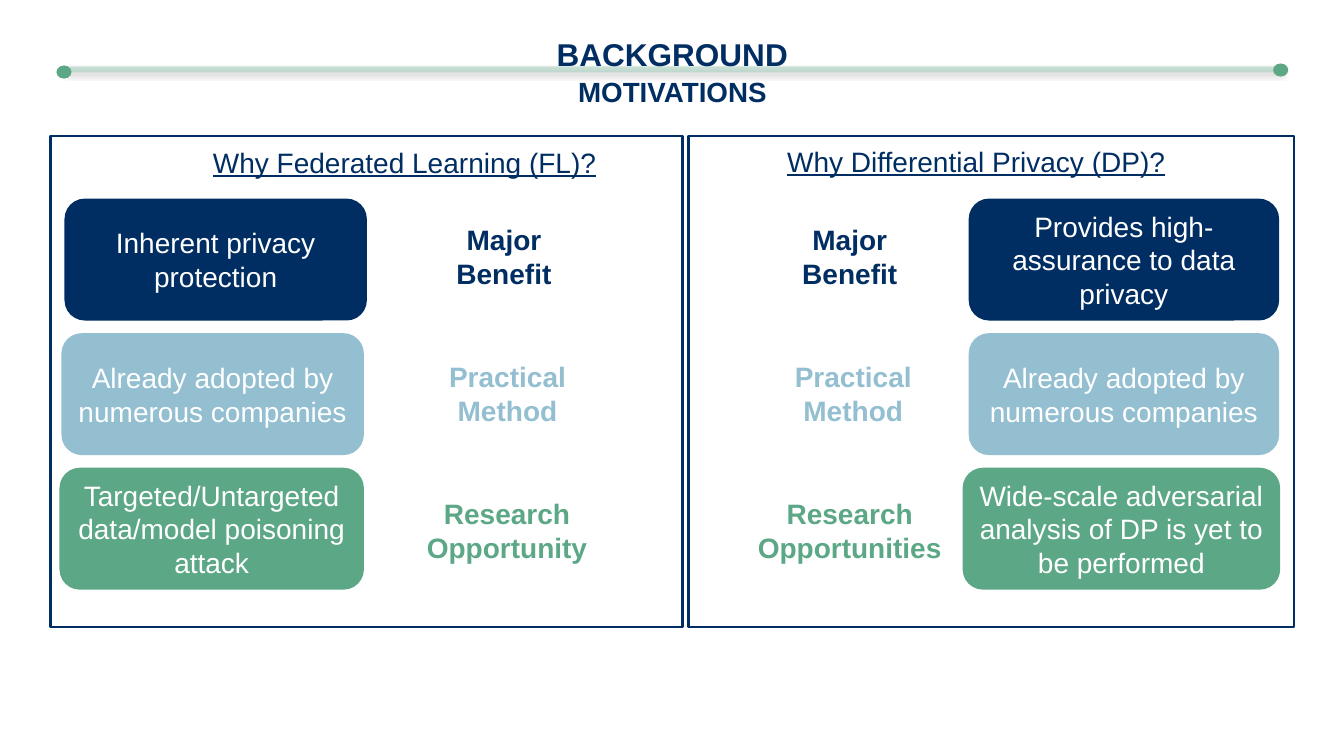
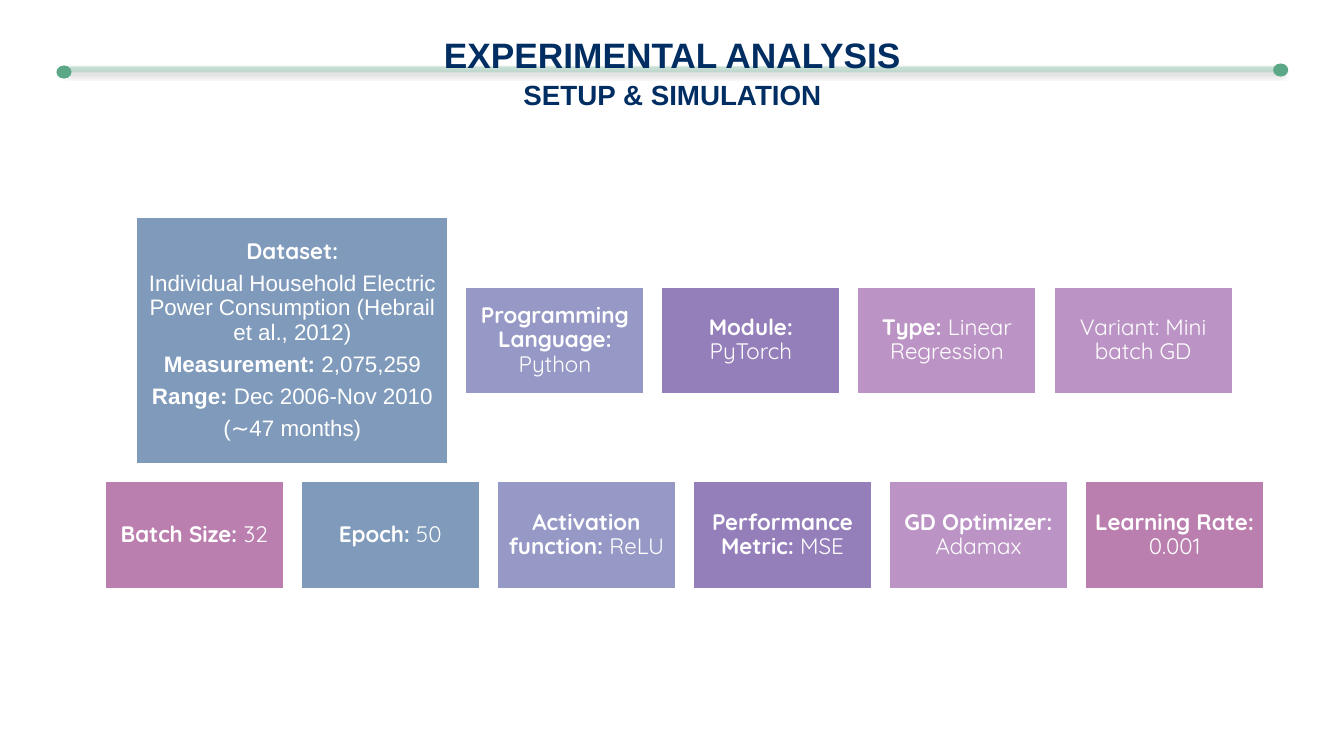
from dataclasses import dataclass
from typing import Optional

from lxml import etree
from pptx import Presentation
from pptx.dml.color import RGBColor
from pptx.enum.shapes import MSO_SHAPE
from pptx.enum.text import MSO_ANCHOR, PP_ALIGN
from pptx.oxml.ns import qn
from pptx.util import Inches, Length, Pt

RECTANGLE = MSO_SHAPE.RECTANGLE
ROUNDED = MSO_SHAPE.ROUNDED_RECTANGLE
OVAL = MSO_SHAPE.OVAL
TOP = MSO_ANCHOR.TOP
MIDDLE = MSO_ANCHOR.MIDDLE
CENTER = PP_ALIGN.CENTER

COLORS = {
    "navy": "002E62", "sky": "93BFD1", "green": "5CA786", "mint": "9DCAB6",
    "white": "FFFFFF", "steel": "7F9ABA", "periwinkle": "9698C6",
    "violet": "957FBA", "orchid": "BB94C5", "rose": "BA7FAE",
}
GRID_STEP = 0.1
SLIDE_COLUMNS, SLIDE_ROWS = 133.33, 75
BODY_FONT, TILE_FONT = "Arial", "Quicksand"
BODY_SIZE, TILE_SIZE, SUBTITLE_SIZE = 20, 16, 19.8

CARD_TOP, CARD_PITCH, CARD_HEIGHT = 19.7, 13.35, 12.1
LABEL_TOP, LABEL_PITCH, LABEL_HEIGHT = 21.6, 13.6, 7.7
PANEL_TOP, PANEL_HEIGHT = 13.5, 48.7
ROW_COLORS = ("navy", "sky", "green")

TILE_CENTER, TILE_GAP = 67.9, 1.75
TILE_WIDTH, TILE_HEIGHT = 17.7, 10.6


@dataclass(frozen=True)
class Box:
    """Position and size in grid columns and rows."""
    left: float
    top: float
    width: float
    height: float


@dataclass(frozen=True)
class Run:
    """Text with its own character style."""
    text: str
    size: float = BODY_SIZE
    font: str = BODY_FONT
    color: str = "white"
    bold: bool = False
    underline: bool = False


Paragraphs = tuple[tuple[Run, ...], ...]


@dataclass(frozen=True)
class TextStyle:
    """Paragraph spacing, anchor and optional uniform margin."""
    anchor: MSO_ANCHOR = MIDDLE
    line_spacing: Optional[float] = None
    space_after: Optional[float] = None
    margin: Optional[float] = None


@dataclass(frozen=True)
class PanelRow:
    """A card with the label beside it."""
    card: str
    card_left: float
    card_width: float
    label: str
    label_left: float
    label_width: float


@dataclass(frozen=True)
class Panel:
    """A framed column with a heading and three rows."""
    left: float
    width: float
    heading: str
    heading_box: Box
    rows: tuple[PanelRow, ...]


@dataclass(frozen=True)
class Tile:
    """A coloured tile of the setup overview."""
    color: str
    paragraphs: Paragraphs
    width: float = TILE_WIDTH
    height: float = TILE_HEIGHT


TITLE_STYLE = TextStyle(line_spacing=1.07)
TILE_STYLE = TextStyle(line_spacing=0.9, space_after=5.6, margin=0.7)


def grid(steps: float) -> Length:
    """Turn grid steps into a length."""
    return Inches(steps * GRID_STEP)


def place(box: Box) -> tuple[Length, ...]:
    """Give the arguments that place a shape."""
    return grid(box.left), grid(box.top), grid(box.width), grid(box.height)


def rgb(name: str) -> RGBColor:
    """Look up a named colour."""
    return RGBColor.from_string(COLORS[name])


def write(shape, paragraphs: Paragraphs, style: TextStyle = TextStyle()) -> None:
    """Write centred paragraphs run by run."""
    frame = shape.text_frame
    frame.word_wrap = True
    frame.vertical_anchor = style.anchor
    if style.margin is not None:
        frame.margin_left = frame.margin_right = grid(style.margin)
        frame.margin_top = frame.margin_bottom = grid(style.margin)
    for index, runs in enumerate(paragraphs):
        paragraph = frame.add_paragraph() if index else frame.paragraphs[0]
        paragraph.alignment = CENTER
        if style.line_spacing is not None:
            paragraph.line_spacing = style.line_spacing
        if style.space_after is not None:
            paragraph.space_after = Pt(style.space_after)
        for item in runs:
            if item.text == "\n":
                paragraph.add_line_break()
                continue
            run = paragraph.add_run()
            run.text = item.text
            run.font.name = item.font
            run.font.size = Pt(item.size)
            run.font.bold = item.bold
            run.font.underline = item.underline
            run.font.color.rgb = rgb(item.color)


def add_text(slide, box: Box, runs: tuple[Run, ...], style: TextStyle) -> None:
    """Add a text box with one paragraph."""
    write(slide.shapes.add_textbox(*place(box)), (runs,), style)


def add_block(slide, kind: MSO_SHAPE, box: Box, fill: Optional[str] = None,
              line: Optional[str] = None, line_width: float = 1):
    """Add a flat preset shape."""
    shape = slide.shapes.add_shape(kind, *place(box))
    shape.shadow.inherit = False
    if fill:
        shape.fill.solid()
        shape.fill.fore_color.rgb = rgb(fill)
    else:
        shape.fill.background()
    if line:
        shape.line.color.rgb = rgb(line)
        shape.line.width = Pt(line_width)
    else:
        shape.line.fill.background()
    return shape


def add_alpha(color, percent: int) -> None:
    """Make a colour element translucent."""
    etree.SubElement(color, qn("a:alpha"), val=str(percent * 1000))


def add_title(slide, title: str, size: float, subtitle: str) -> None:
    """Draw the title over its translucent rule and end dots."""
    rule = add_block(slide, RECTANGLE, Box(6.4, 6.6, 120.6, 0.6), "mint")
    properties = rule._element.spPr
    add_alpha(properties.find(qn("a:solidFill"))[0], 50)
    shadow = etree.SubElement(
        properties.find(qn("a:effectLst")), qn("a:outerShdw"),
        blurRad=str(Pt(4)), dist=str(Pt(3)), dir=str(45 * 60000), rotWithShape="0")
    add_alpha(etree.SubElement(shadow, qn("a:srgbClr"), val="000000"), 40)
    for left, top in ((5.6, 6.5), (126.3, 6.3)):
        add_block(slide, OVAL, Box(left, top, 1.5, 1.3), "green")
    runs = (Run(title, size, color="navy", bold=True), Run("\n"),
            Run(subtitle, SUBTITLE_SIZE, color="navy", bold=True))
    add_text(slide, Box(6.4, 2.8, 120.6, 8.4), runs, TITLE_STYLE)


def add_panel(slide, panel: Panel) -> None:
    """Draw a framed panel with its cards and labels."""
    frame = Box(panel.left, PANEL_TOP, panel.width, PANEL_HEIGHT)
    add_block(slide, RECTANGLE, frame, line="navy", line_width=1.75)
    heading = Run(panel.heading, color="navy", underline=True)
    add_text(slide, panel.heading_box, (heading,), TextStyle(TOP))
    for index, (row, color) in enumerate(zip(panel.rows, ROW_COLORS)):
        card_box = Box(row.card_left, CARD_TOP + index * CARD_PITCH,
                       row.card_width, CARD_HEIGHT)
        write(add_block(slide, ROUNDED, card_box, color), ((Run(row.card),),))
        label_box = Box(row.label_left, LABEL_TOP + index * LABEL_PITCH,
                        row.label_width, LABEL_HEIGHT)
        label = Run(row.label, color=color, bold=True)
        add_text(slide, label_box, (label,), TextStyle(TOP))


def add_tile_row(slide, middle: float, tiles: tuple[Tile, ...]) -> None:
    """Lay out a centred row of tiles with equal gaps."""
    total = sum(tile.width for tile in tiles) + TILE_GAP * (len(tiles) - 1)
    left = TILE_CENTER - total / 2
    for tile in tiles:
        box = Box(left, middle - tile.height / 2, tile.width, tile.height)
        shape = add_block(slide, RECTANGLE, box, tile.color, "white")
        write(shape, tile.paragraphs, TILE_STYLE)
        left += tile.width + TILE_GAP


def entry(name: str, value: str, font: str = TILE_FONT) -> tuple[Run, ...]:
    """Pair a bold name with a regular value."""
    parts = ((name, True), (value, False))
    return tuple(Run(text, TILE_SIZE, font, bold=bold) for text, bold in parts if text)


PANELS = (
    Panel(5, 62.7, "Why Federated Learning (FL)?", Box(18.1, 13.9, 44.1, 4.4), (
        PanelRow("Inherent privacy protection", 6.4, 30,
                 "Major Benefit", 40.8, 18.4),
        PanelRow("Already adopted by numerous companies", 6.1, 30,
                 "Practical Method", 38.5, 23.7),
        PanelRow("Targeted/Untargeted data/model poisoning attack", 5.9, 30.2,
                 "Research Opportunity", 35.2, 30.2),
    )),
    Panel(68.3, 60.1, "Why Differential Privacy (DP)?", Box(66.8, 13.8, 60.1, 4.4), (
        PanelRow("Provides high-assurance to data privacy", 96.1, 30.8,
                 "Major Benefit", 74.9, 18.8),
        PanelRow("Already adopted by numerous companies", 96.1, 30.8,
                 "Practical Method", 73.5, 22.3),
        PanelRow("Wide-scale adversarial analysis of DP is yet to be performed",
                 95.5, 31.5, "Research Opportunities", 69.1, 30.4),
    )),
)

DATASET = (
    entry("Dataset:", ""),
    entry("", "Individual Household Electric Power Consumption (Hebrail et al., 2012)",
          BODY_FONT),
    entry("Measurement: ", "2,075,259", BODY_FONT),
    entry("Range: ", "Dec 2006-Nov 2010", BODY_FONT),
    entry("", "(∼47 months)", BODY_FONT),
)

TILE_ROWS = (
    (33.8, (
        Tile("steel", DATASET, 30.9, 24.5),
        Tile("periwinkle", (entry("Programming Language: ", "Python"),)),
        Tile("violet", (entry("Module: ", "PyTorch"),)),
        Tile("orchid", (entry("Type: ", "Linear Regression"),)),
        Tile("orchid", (entry("", "Variant: Mini batch GD"),)),
    )),
    (53.1, (
        Tile("rose", (entry("Batch Size:", " 32"),)),
        Tile("steel", (entry("Epoch:", " 50"),)),
        Tile("periwinkle", (entry("Activation function:", " ReLU"),)),
        Tile("violet", (entry("Performance Metric:", " MSE"),)),
        Tile("orchid", (entry("GD Optimizer: ", "Adamax"),)),
        Tile("rose", (entry("Learning Rate:", " 0.001"),)),
    )),
)


def main() -> None:
    """Build and save the presentation."""
    presentation = Presentation()
    presentation.slide_width = grid(SLIDE_COLUMNS)
    presentation.slide_height = grid(SLIDE_ROWS)
    blank = presentation.slide_layouts[6]

    motivations = presentation.slides.add_slide(blank)
    add_title(motivations, "BACKGROUND", 22.5, "MOTIVATIONS")
    for panel in PANELS:
        add_panel(motivations, panel)

    setup = presentation.slides.add_slide(blank)
    add_title(setup, "EXPERIMENTAL ANALYSIS", 25.2, "SETUP & SIMULATION")
    for middle, tiles in TILE_ROWS:
        add_tile_row(setup, middle, tiles)

    presentation.save("out.pptx")


if __name__ == "__main__":
    main()
